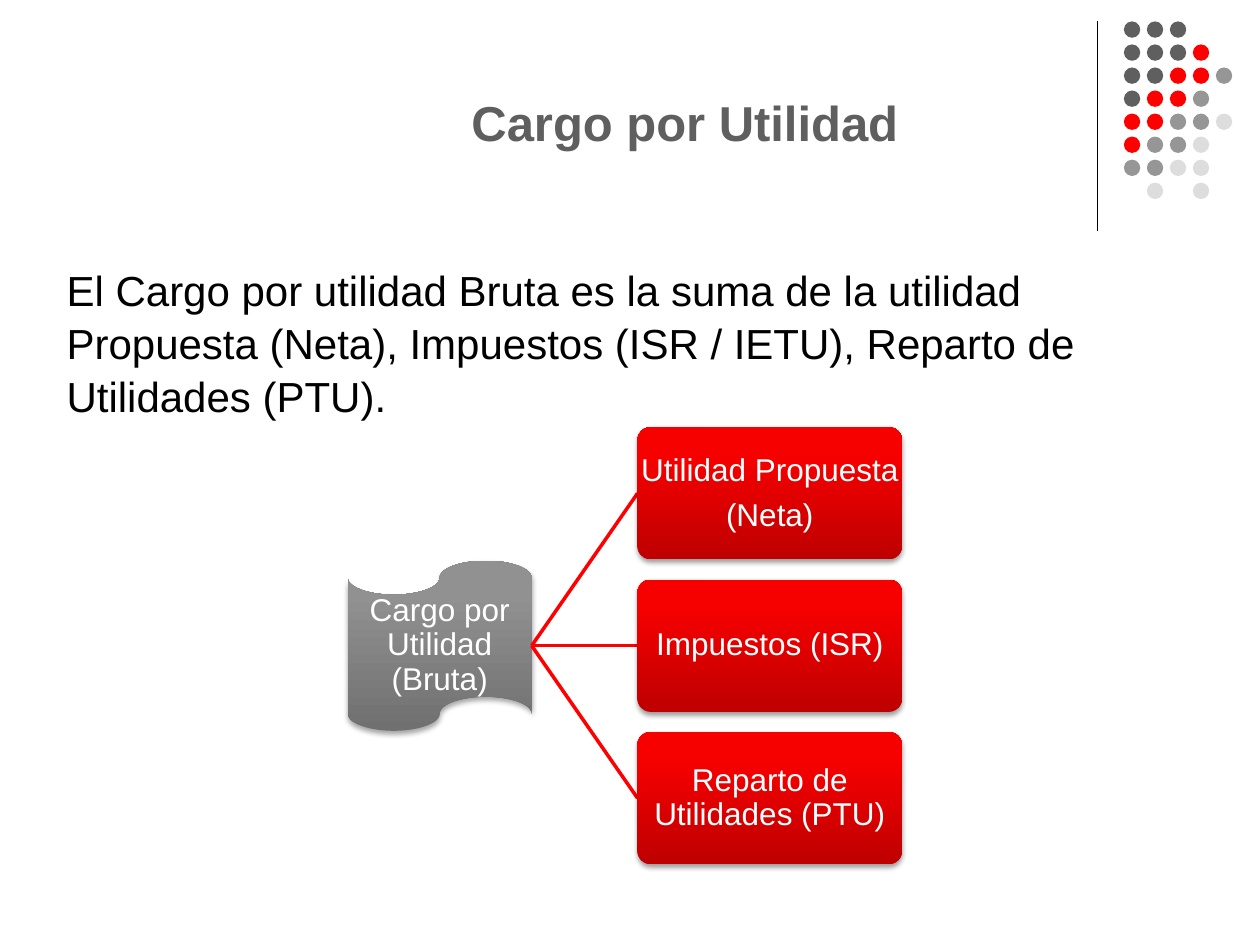
from dataclasses import dataclass

from lxml.etree import SubElement
from pptx import Presentation
from pptx.dml.color import RGBColor
from pptx.enum.shapes import MSO_CONNECTOR, MSO_SHAPE
from pptx.enum.text import MSO_ANCHOR, PP_ALIGN
from pptx.oxml.ns import qn
from pptx.util import Inches, Pt

COLORS = {
    "text": "000000",
    "white": "FFFFFF",
    "dark": "5F5F5F",
    "red": "FF0000",
    "gray": "969696",
    "light": "DDDDDD",
    "red_bottom": "BE0000",
    "red_top": "F70000",
    "gray_bottom": "707070",
    "gray_top": "919191",
}

# Dot ornament: one letter per dot, a space leaves a gap
DOT_ROWS = ["DDD", "DDDR", "DDRRG", "DRRG", "RRGGL", "RGGL", "GGLL", " L L"]
DOT_COLORS = {"D": "dark", "R": "red", "G": "gray", "L": "light"}
DOT_LEFT, DOT_TOP, DOT_SIZE = 8.92, 0.17, 0.13
DOT_STEP_X, DOT_STEP_Y = 0.73 / 4, 1.28 / 7


@dataclass
class TextStyle:
    size: float
    color: str
    bold: bool = False
    align: PP_ALIGN = PP_ALIGN.LEFT
    anchor: MSO_ANCHOR = MSO_ANCHOR.TOP
    line_spacing: float = 1.0
    space_after: float = 0
    inset_x: float = 0.1
    inset_y: float = 0.05


@dataclass
class Node:
    lines: list[str]
    left: float
    top: float
    width: float
    height: float
    kind: MSO_SHAPE
    bottom_color: str
    top_color: str
    shadow_opacity: int
    shadow_distance: float

    @property
    def middle(self) -> float:
        return self.top + self.height / 2


TITLE_STYLE = TextStyle(28, "dark", True, PP_ALIGN.CENTER, MSO_ANCHOR.MIDDLE)
BODY_STYLE = TextStyle(24, "text", line_spacing=1.05)
NODE_STYLE = TextStyle(18, "white", False, PP_ALIGN.CENTER, MSO_ANCHOR.MIDDLE,
                       0.9, 6.3, 0.01, 0.01)


def rgb(name: str) -> RGBColor:
    return RGBColor.from_string(COLORS[name])


def add_text(slide, lines: list[str], left: float, top: float, width: float,
             height: float, style: TextStyle) -> None:
    box = slide.shapes.add_textbox(Inches(left), Inches(top), Inches(width), Inches(height))
    frame = box.text_frame
    frame.word_wrap = True
    frame.vertical_anchor = style.anchor
    frame.margin_left = frame.margin_right = Inches(style.inset_x)
    frame.margin_top = frame.margin_bottom = Inches(style.inset_y)
    for index, line in enumerate(lines):
        paragraph = frame.add_paragraph() if index else frame.paragraphs[0]
        paragraph.alignment = style.align
        paragraph.line_spacing = style.line_spacing
        paragraph.space_after = Pt(style.space_after)
        run = paragraph.add_run()
        run.text = line
        run.font.name = "Arial"
        run.font.size = Pt(style.size)
        run.font.bold = style.bold
        run.font.color.rgb = rgb(style.color)


def add_line(slide, start: tuple[float, float], end: tuple[float, float],
             color: str, width: float) -> None:
    connector = slide.shapes.add_connector(
        MSO_CONNECTOR.STRAIGHT, *(Inches(value) for value in start + end))
    connector.line.color.rgb = rgb(color)
    connector.line.width = Pt(width)
    SubElement(connector._element.spPr, qn("a:effectLst"))


def add_dots(slide) -> None:
    for row, letters in enumerate(DOT_ROWS):
        for column, letter in enumerate(letters):
            if letter == " ":
                continue
            dot = slide.shapes.add_shape(
                MSO_SHAPE.OVAL, Inches(DOT_LEFT + column * DOT_STEP_X),
                Inches(DOT_TOP + row * DOT_STEP_Y), Inches(DOT_SIZE), Inches(DOT_SIZE))
            dot.shadow.inherit = False
            dot.fill.solid()
            dot.fill.fore_color.rgb = rgb(DOT_COLORS[letter])
            dot.line.fill.background()


def add_shadow(shape, opacity: int, distance: float) -> None:
    shape.shadow.inherit = False
    effects = shape._element.spPr.find(qn("a:effectLst"))
    shadow = SubElement(effects, qn("a:outerShdw"), blurRad=str(Pt(3.1)),
                        dist=str(Pt(distance)), dir="5400000", rotWithShape="0")
    color = SubElement(shadow, qn("a:srgbClr"), val=COLORS["text"])
    SubElement(color, qn("a:alpha"), val=str(opacity * 1000))


def add_node(slide, node: Node) -> None:
    shape = slide.shapes.add_shape(node.kind, Inches(node.left), Inches(node.top),
                                   Inches(node.width), Inches(node.height))
    if node.kind == MSO_SHAPE.ROUNDED_RECTANGLE:
        shape.adjustments[0] = 0.1
    shape.fill.gradient()
    shape.fill.gradient_angle = 90
    bottom, top = shape.fill.gradient_stops
    bottom.color.rgb, bottom.position = rgb(node.bottom_color), 0
    top.color.rgb, top.position = rgb(node.top_color), 0.8
    shape.line.fill.background()
    add_shadow(shape, node.shadow_opacity, node.shadow_distance)
    add_text(slide, node.lines, node.left, node.top, node.width, node.height, NODE_STYLE)


def main() -> None:
    presentation = Presentation()
    presentation.slide_width = Inches(10)
    presentation.slide_height = Inches(7.5)
    slide = presentation.slides.add_slide(presentation.slide_layouts[6])

    # Corner ornament
    add_line(slide, (8.71, 0.17), (8.71, 1.83), "text", 0.75)
    add_dots(slide)

    # Title and definition
    add_text(slide, ["Cargo por Utilidad"], 2.24, 0.13, 6.39, 1.67, TITLE_STYLE)
    add_text(slide, ["El Cargo por utilidad Bruta es la suma de la utilidad Propuesta "
                     "(Neta), Impuestos (ISR / IETU), Reparto de Utilidades (PTU)."],
             0.43, 2.03, 9.18, 1.31, BODY_STYLE)

    # Gross profit and its three components
    gross = Node(["Cargo por Utilidad (Bruta)"], 2.76, 4.45, 1.46, 1.35,
                 MSO_SHAPE.FLOWCHART_PUNCHED_TAPE, "gray_bottom", "gray_top", 35, 1.8)
    add_node(slide, gross)
    components = [["Utilidad Propuesta", "(Neta)"], ["Impuestos (ISR)"],
                  ["Reparto de Utilidades (PTU)"]]
    for index, lines in enumerate(components):
        component = Node(lines, 5.06, 3.39 + index * 1.21, 2.1, 1.05,
                         MSO_SHAPE.ROUNDED_RECTANGLE, "red_bottom", "red_top", 38, 1.6)
        add_line(slide, (gross.left + gross.width, gross.middle),
                 (component.left, component.middle), "red", 2)
        add_node(slide, component)

    presentation.save("out.pptx")


if __name__ == "__main__":
    main()
